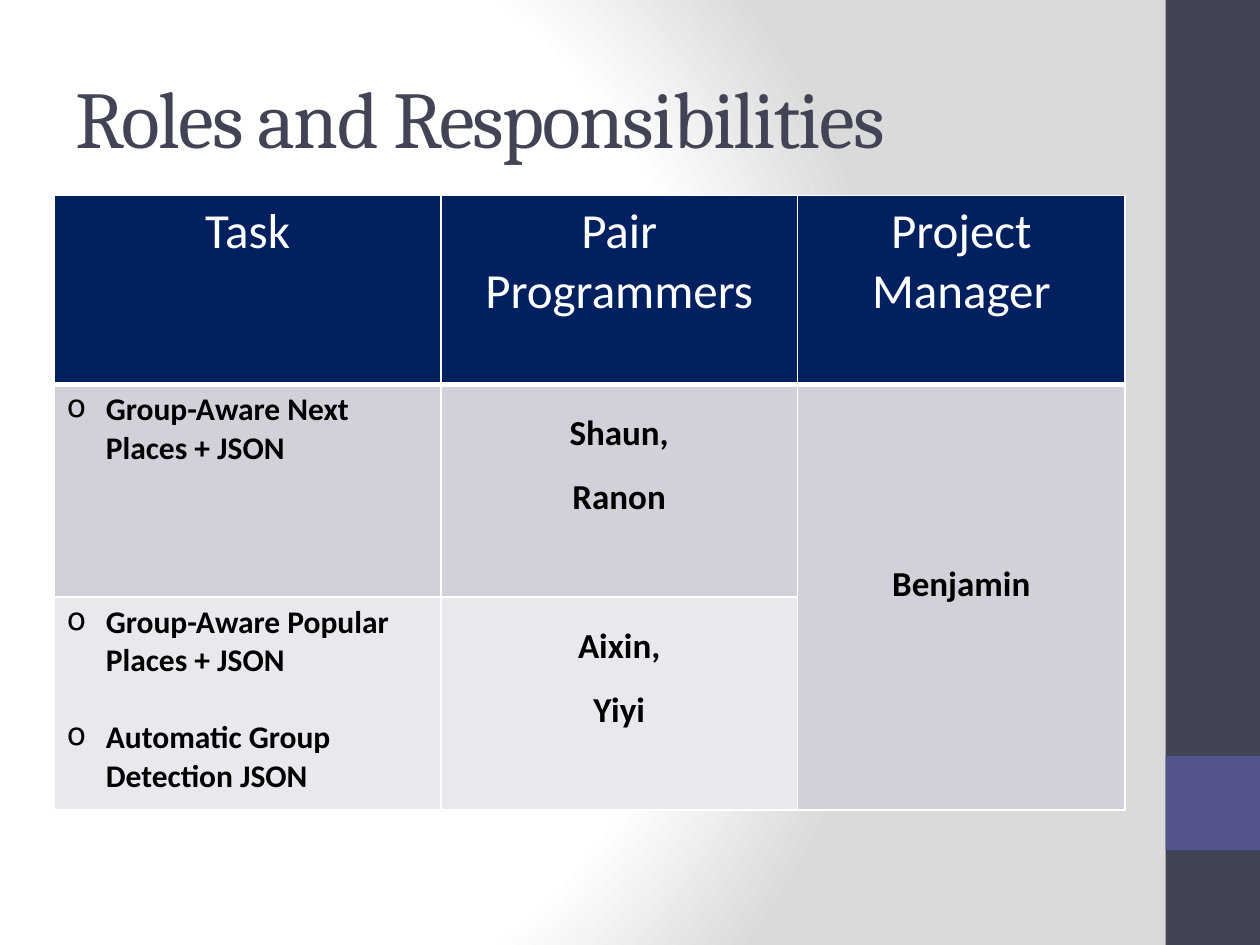
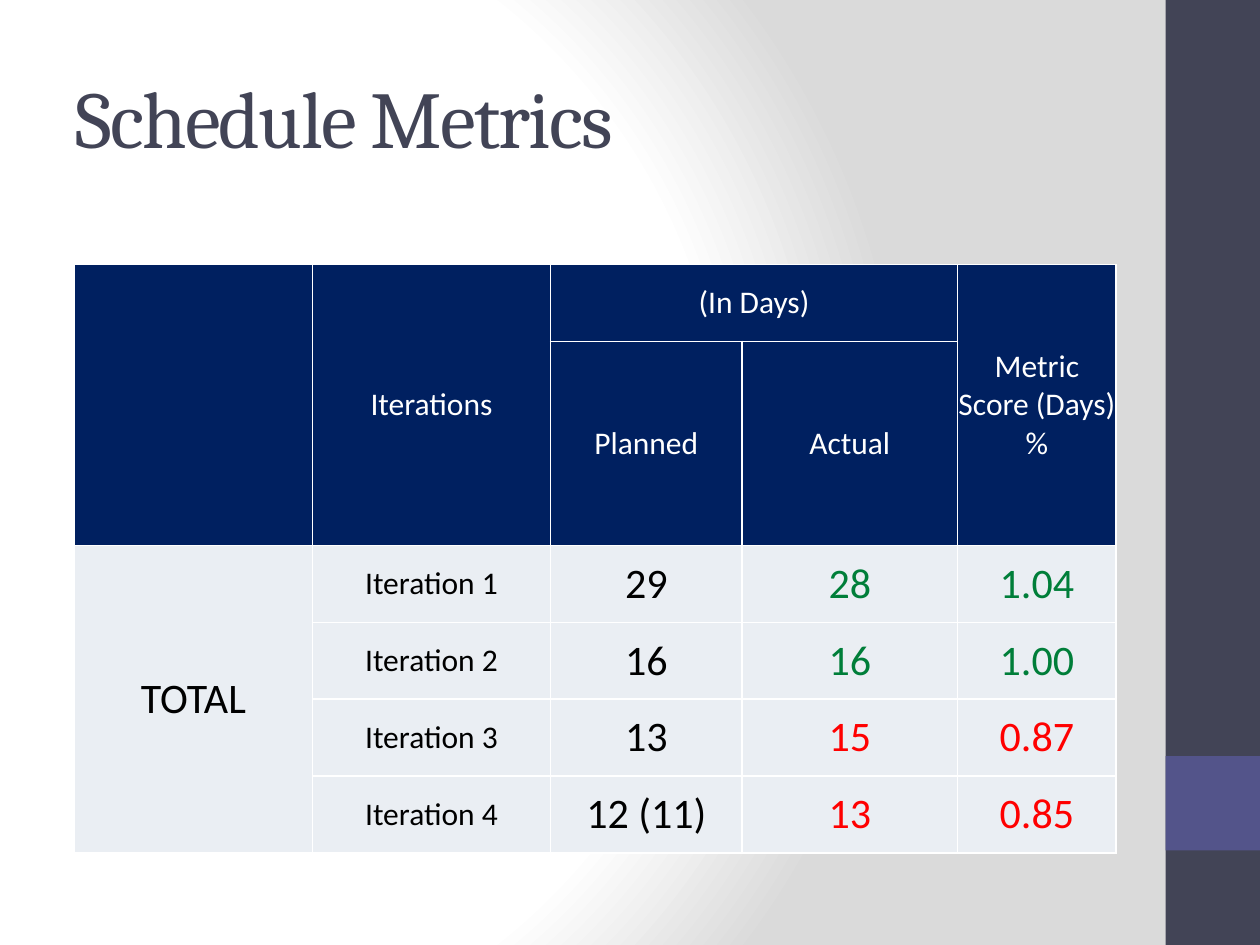
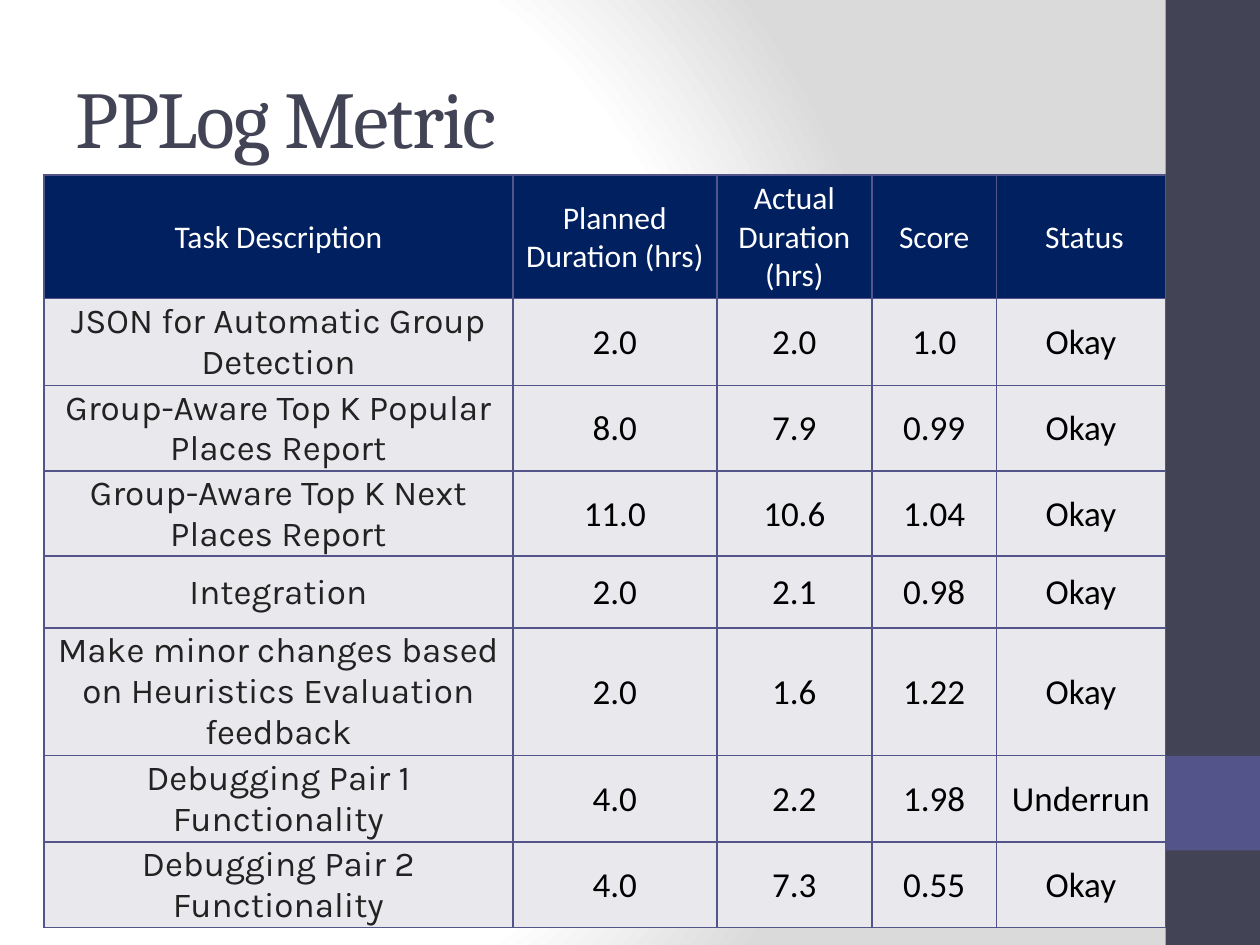
from pptx import Presentation
from pptx.dml.color import RGBColor
from pptx.enum.shapes import MSO_SHAPE as Shape
from pptx.enum.text import MSO_ANCHOR as Anchor, PP_ALIGN as Align
from pptx.oxml import parse_xml
from pptx.oxml.ns import nsdecls, qn
from pptx.util import Inches, Pt

# Shared colours
SLATE, VIOLET, NAVY = "424456", "53548A", "002060"
WHITE, BLACK, CHARCOAL = "FFFFFF", "000000", "222222"
LILAC, MIST, ICE = "D1D1DA", "E9E9ED", "EAEEF3"
GREEN, RED = "007E39", "FF0000"

# Slide 1: roles
ROLE_HEADINGS = ["Task", "Pair Programmers", "Project Manager"]
ROLES = [
    ("Group-Aware Next Places + JSON", "Shaun,\nRanon"),
    ("Group-Aware Popular Places + JSON\nAutomatic Group Detection JSON", "Aixin,\nYiyi"),
]
MANAGER = "Benjamin"

# Slide 2: schedule, with planned days, actual days, score and its colour
SCHEDULE_HEADINGS = [
    [None, "Iterations", "(In Days)", None, "Metric Score (Days)\n%"],
    [None, None, "Planned", "Actual", None],
]
ITERATIONS = [
    ("Iteration 1", "29", "28", "1.04", GREEN),
    ("Iteration 2", "16", "16", "1.00", GREEN),
    ("Iteration 3", "13", "15", "0.87", RED),
    ("Iteration 4", "12 (11)", "13", "0.85", RED),
]
SCHEDULE_MERGES = [(0, 0, 1, 0), (0, 1, 1, 1), (0, 2, 0, 3), (0, 4, 1, 4), (2, 0, 5, 0)]

# Slide 3: pair programming log
LOG_HEADINGS = ["Task Description", "Planned Duration (hrs)", "Actual Duration (hrs)",
                "Score", " Status"]
LOG = [
    ("JSON for Automatic Group Detection", "2.0", "2.0", "1.0", "Okay"),
    ("Group-Aware Top K Popular Places Report", "8.0", "7.9", "0.99", "Okay"),
    ("Group-Aware Top K Next Places Report", "11.0", "10.6", "1.04", "Okay"),
    ("Integration", "2.0", "2.1", "0.98", "Okay"),
    ("Make minor changes based on Heuristics Evaluation feedback",
     "2.0", "1.6", "1.22", "Okay"),
    ("Debugging Pair 1 Functionality", "4.0", "2.2", "1.98", "Underrun"),
    ("Debugging Pair 2 Functionality", "4.0", "7.3", "0.55", "Okay"),
]


def rgb(value):
    return RGBColor.from_string(value)


def write(frame, text, size=18, color=BLACK, font="Calibri", bold=False,
          align=Align.CENTER, line=None, before=None, bullet=None, tracking=None):
    """Fill a text frame, one paragraph for each line of text."""
    for number, words in enumerate(text.split("\n")):
        paragraph = frame.add_paragraph() if number else frame.paragraphs[0]
        paragraph.alignment = align
        if line:
            paragraph.line_spacing = line
        if before:
            paragraph.space_before = Pt(before)
        if bullet:
            properties = paragraph._p.get_or_add_pPr()
            properties.set("marL", str(Inches(0.31)))
            properties.set("indent", str(-Inches(0.31)))
            properties.append(parse_xml(f'<a:buChar {nsdecls("a")} char="{bullet}"/>'))
        run = paragraph.add_run()
        run.text = words
        run.font.size, run.font.name, run.font.bold = Pt(size), font, bold
        run.font.color.rgb = rgb(color)
        if tracking:
            run._r.get_or_add_rPr().set("spc", str(tracking * 100))


def set_borders(cell, color, top=1, bottom=1):
    properties = cell._tc.get_or_add_tcPr()
    sides = {"lnL": 1, "lnR": 1, "lnT": top, "lnB": bottom}
    for position, (side, width) in enumerate(sides.items()):
        properties.insert(position, parse_xml(
            f'<a:{side} {nsdecls("a")} w="{Pt(width)}"><a:solidFill>'
            f'<a:srgbClr val="{color}"/></a:solidFill></a:{side}>'))


def add_grid(slide, left, top, widths, heights, cells, fills, border=WHITE,
             margins=(0.1, 0.05, 0.1, 0.05), anchor=Anchor.MIDDLE, merges=(), header_rule=1):
    """Cells are (text, format) pairs or None; fills holds one colour for each row."""
    table = slide.shapes.add_table(
        len(heights), len(widths), Inches(left), Inches(top),
        Inches(sum(widths)), Inches(sum(heights))).table
    table.first_row = table.horz_banding = False
    for column, width in zip(table.columns, widths):
        column.width = Inches(width)
    for row, height in zip(table.rows, heights):
        row.height = Inches(height)
    for r, row in enumerate(cells):
        for c, content in enumerate(row):
            cell = table.cell(r, c)
            cell.fill.solid()
            cell.fill.fore_color.rgb = rgb(fills[r])
            set_borders(cell, border, top=header_rule if r == 1 else 1,
                        bottom=header_rule if r == 0 else 1)
            cell.vertical_anchor = anchor
            (cell.margin_left, cell.margin_top,
             cell.margin_right, cell.margin_bottom) = map(Inches, margins)
            if content:
                text, style = content
                write(cell.text_frame, text, **style)
    for first_row, first_column, last_row, last_column in merges:
        table.cell(first_row, first_column).merge(table.cell(last_row, last_column))
    return table


def set_background(master):
    """White to grey glow, shared by all slides."""
    master.background.fill.solid()
    solid = next(master.element.iter(qn("p:bgPr"))).find(qn("a:solidFill"))
    stops = "".join(f'<a:gs pos="{place * 1000}"><a:srgbClr val="{color}"/></a:gs>'
                    for place, color in [(0, WHITE), (75, WHITE), (100, "DADADA")])
    solid.getparent().replace(solid, parse_xml(
        f'<a:gradFill {nsdecls("a")} rotWithShape="1"><a:gsLst>{stops}</a:gsLst>'
        '<a:path path="circle"><a:fillToRect l="20000" t="50000" r="100000" b="50000"/>'
        '</a:path></a:gradFill>'))


def add_slide(prs, title):
    """Slide with the side bands and its title."""
    slide = prs.slides.add_slide(prs.slide_layouts[6])
    for top, height, color in [(0, 7.5, SLATE), (6, 0.75, VIOLET)]:
        band = slide.shapes.add_shape(
            Shape.RECTANGLE, Inches(9.25), Inches(top), Inches(0.75), Inches(height))
        band.shadow.inherit = False
        band.fill.solid()
        band.fill.fore_color.rgb = rgb(color)
        band.line.fill.background()
    frame = slide.shapes.add_textbox(
        Inches(0.5), Inches(0.3), Inches(8.33), Inches(1.25)).text_frame
    frame.word_wrap = True
    frame.vertical_anchor = Anchor.MIDDLE
    write(frame, title, size=46, color=SLATE, font="Cambria", align=Align.LEFT, tracking=-1)
    return slide


def add_roles(prs):
    slide = add_slide(prs, "Roles and Responsibilities")
    heading = dict(size=28, color=WHITE, before=12)
    task = dict(bold=True, align=Align.LEFT, bullet="o", before=22)
    people = dict(size=20, bold=True)
    cells = [[(text, heading) for text in ROLE_HEADINGS]]
    for number, (tasks, pair) in enumerate(ROLES):
        manager = None if number else (MANAGER, people)
        cells.append([(tasks, task), (pair, people | dict(line=1.5)), manager])
    table = add_grid(slide, 0.43, 1.55, [3.07, 2.83, 2.6], [1.5, 1.69, 1.69], cells,
                     [NAVY, LILAC, MIST], anchor=Anchor.TOP, merges=[(1, 2, 2, 2)],
                     header_rule=3)
    manager_cell = table.cell(1, 2)
    manager_cell.vertical_anchor = Anchor.MIDDLE
    manager_cell.margin_bottom = Inches(0.25)


def add_schedule(prs):
    slide = add_slide(prs, "Schedule Metrics")
    cells = [[text and (text, dict(color=WHITE)) for text in row]
             for row in SCHEDULE_HEADINGS]
    for number, (iteration, planned, actual, score, color) in enumerate(ITERATIONS):
        total = None if number else ("TOTAL", dict(size=24))
        result = dict(size=24, color=color)
        cells.append([total, (iteration, {}), (planned, dict(size=24)),
                      (actual, result), (score, result)])
    add_grid(slide, 0.59, 2.1, [1.89, 1.89, 1.52, 1.71, 1.26], [0.61, 1.62] + [0.61] * 4,
             cells, [NAVY] * 2 + [ICE] * 4, margins=(0, 0, 0, 0), merges=SCHEDULE_MERGES)


def add_log(prs):
    slide = add_slide(prs, "PPLog Metric")
    cells = [[(text, dict(color=WHITE)) for text in LOG_HEADINGS]]
    for task, *values in LOG:
        cells.append([(task, dict(size=20, font="Karla", color=CHARCOAL))]
                     + [(value, dict(size=20)) for value in values])
    add_grid(slide, 0.35, 1.39, [3.72, 1.62, 1.23, 0.99, 1.34],
             [0.98, 0.69, 0.66, 0.66, 0.57, 0.98, 0.69, 0.66], cells,
             [NAVY] + [MIST] * len(LOG), border=VIOLET, margins=(0.01, 0.01, 0.01, 0))


def main():
    prs = Presentation()
    prs.slide_width, prs.slide_height = Inches(10), Inches(7.5)
    set_background(prs.slide_master)
    add_roles(prs)
    add_schedule(prs)
    add_log(prs)
    prs.save("out.pptx")


if __name__ == "__main__":
    main()
